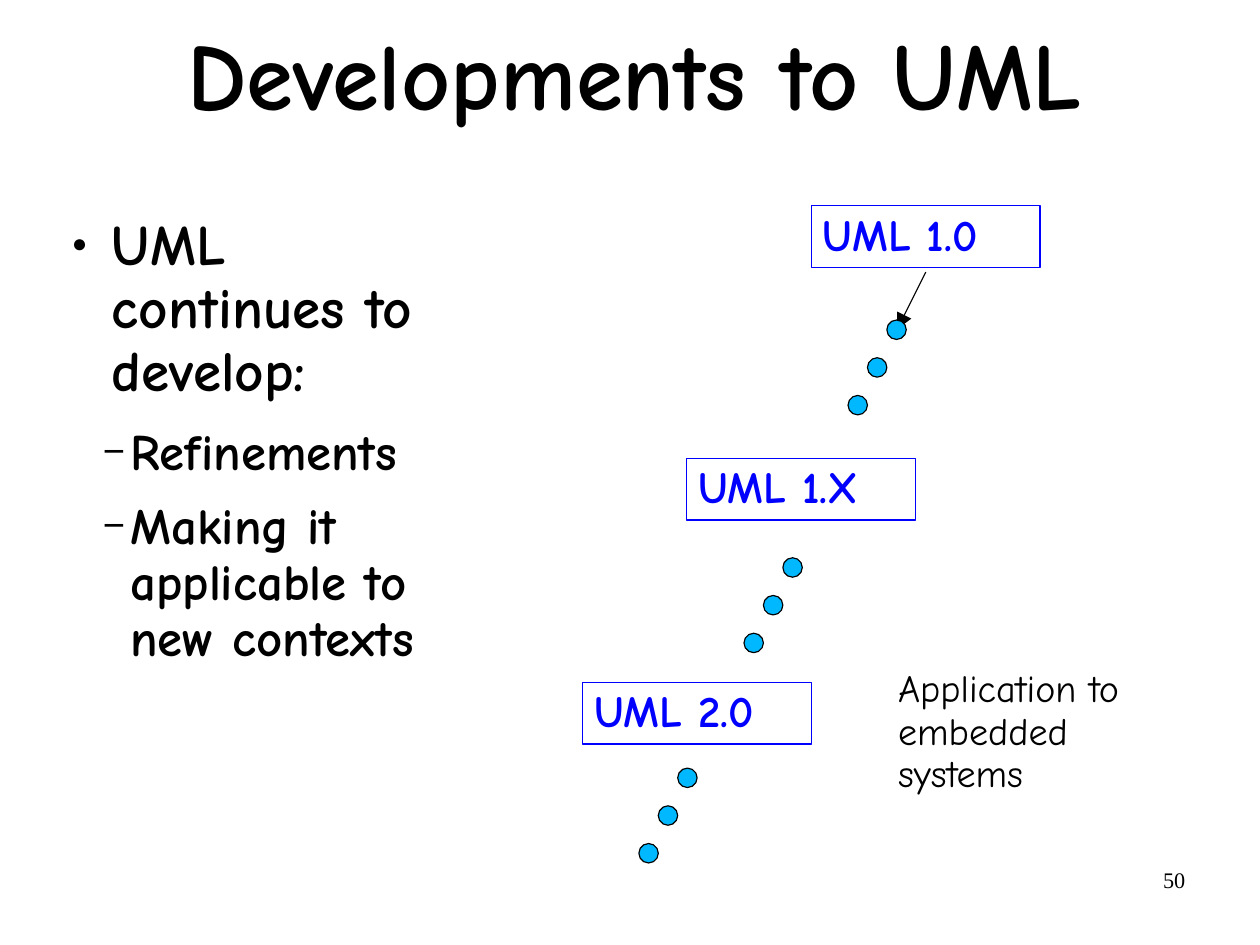
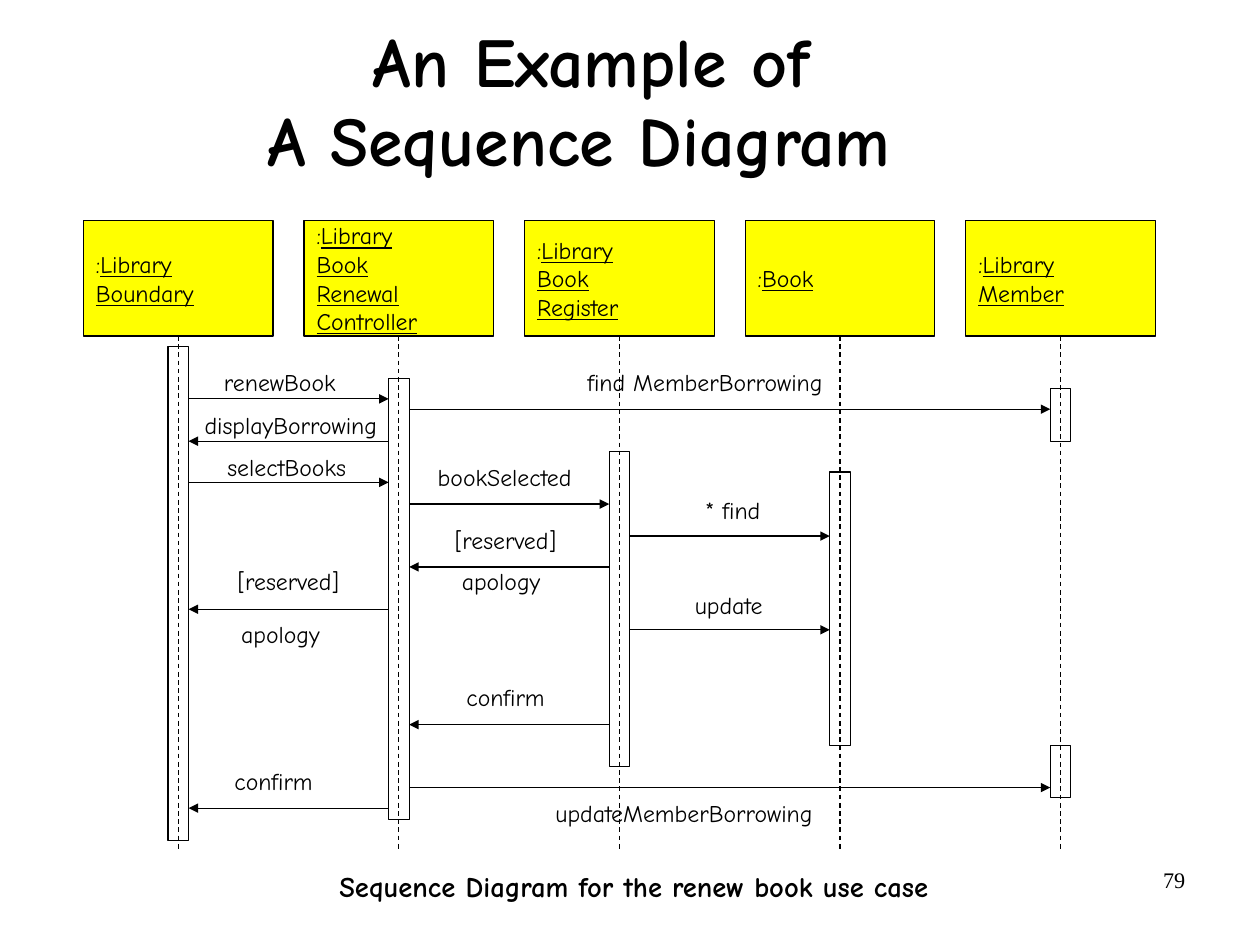
from lxml import etree
from pptx import Presentation
from pptx.dml.color import RGBColor
from pptx.enum.dml import MSO_LINE
from pptx.enum.shapes import MSO_CONNECTOR, MSO_SHAPE
from pptx.enum.text import MSO_ANCHOR, MSO_AUTO_SIZE, PP_ALIGN
from pptx.oxml.ns import qn
from pptx.util import Pt

RECT, OVAL = MSO_SHAPE.RECTANGLE, MSO_SHAPE.OVAL
STRAIGHT = MSO_CONNECTOR.STRAIGHT
TOP, MIDDLE = MSO_ANCHOR.TOP, MSO_ANCHOR.MIDDLE
LEFT, CENTER, RIGHT = PP_ALIGN.LEFT, PP_ALIGN.CENTER, PP_ALIGN.RIGHT
NO_FIT = MSO_AUTO_SIZE.NONE

PX = 9144
BLACK, BLUE, CYAN, YELLOW = "000000", "0000FF", "00B8FF", "FFFF00"
FONT = {"name": "Comic Neue", "bold": False}
STRONG = {**FONT, "bold": True}
TITLE = {"align": CENTER, "anchor": MIDDLE}
BOX_INSETS = (10, 5, 10, 5)

PAGE_NUMBER = {"box": (790, 753, 257, 57), "size": 14, "font": {"name": "Times New Roman"}}

DEVELOPMENTS = {
    "number": "50",
    "title": "Developments to UML",
    "title_box": (85, 0, 940, 138),
    "title_format": {"size": 60, "spacing": 0.92},
    "body_box": (51, 188, 362, 533),
    "points": [
        (0, "UML continues to develop:"),
        (1, "Refinements"),
        (1, "Making it applicable to new contexts"),
    ],
    "versions": [("UML 1.0", 710, 180), ("UML 1.X", 601, 401), ("UML 2.0", 510, 597)],
    "arrow": (810, 238, 785, 288),
    "dot_trails": [(776, 280), (685, 488), (593, 672)],
    "note": ("Application to embedded systems", (776, 580, 250, 122)),
}
LEVELS = [
    {"size": 36, "after": 13.8, "margin": 47, "hang": 35, "bullet": "●", "percent": 45},
    {"size": 32, "after": 10.9, "margin": 63, "hang": 24, "bullet": "−", "percent": 75},
]

SEQUENCE = {
    "number": "79",
    "title": "An Example of\nA Sequence Diagram ",
    "title_box": (49, 16, 937, 149),
    "title_format": {"size": 44, "spacing": 0.94, "insets": (2, 6, 2, 6)},
    "objects": [
        (["Library", "Boundary"], [(303, 432)]),
        (["Library", "Book", "Renewal", "Controller"], [(331, 386)]),
        (["Library", "Book", "Register"], [(395, 276)]),
        (["Book"], [(413, 239)]),
        (["Library", "Member"], [(340, 46), (652, 46)]),
    ],
    "messages": [
        (0, 1, 349, [("renewBook", 196, 322, 98)]),
        (1, 0, 386, [("displayBorrowing", 179, 359, 151)]),
        (0, 1, 422, [("selectBooks", 199, 396, 104)]),
        (1, 0, 533, [("[reserved]", 208, 496, 90), ("apology", 211, 542, 69)]),
        (1, 0, 707, [("confirm", 205, 671, 69)]),
        (1, 4, 358, [("find MemberBorrowing", 514, 322, 206)]),
        (1, 2, 441, [("bookSelected", 383, 405, 118)]),
        (2, 3, 469, [("* find", 617, 434, 48)]),
        (2, 1, 496, [("[reserved]", 398, 460, 90), ("apology", 404, 496, 69)]),
        (2, 3, 551, [("update", 608, 517, 60)]),
        (2, 1, 634, [("confirm", 408, 597, 69)]),
        (1, 4, 689, [("updateMemberBorrowing", 486, 699, 226)]),
    ],
    "caption": ("Sequence Diagram for the renew book use case", (297, 760, 517, 30)),
}
FIRST_AXIS, AXIS_STEP, LIFE_END = 156, 193, 744
HEAD_TOP, HEAD_W, HEAD_H, BAR_W = 193, 166, 101, 18

prs = Presentation()
prs.slide_width, prs.slide_height = Pt(793.75), Pt(595.25)


def color(value):
    return RGBColor.from_string(value)


def emu(lengths):
    return [n * PX for n in lengths]


def place(sp, box):
    sp.left, sp.top, sp.width, sp.height = emu(box)


def write(sp, paras, size, font=FONT, ink=BLACK, align=LEFT, anchor=TOP,
          insets=(0, 0, 0, 0), wrap=True, spacing=1.0):
    tf = sp.text_frame
    margins = dict(zip(("margin_left", "margin_top", "margin_right", "margin_bottom"), emu(insets)))
    frame = {"auto_size": NO_FIT, "word_wrap": wrap, "vertical_anchor": anchor, **margins}
    for name, value in frame.items():
        setattr(tf, name, value)
    for i, text in enumerate(paras):
        p = tf.paragraphs[0] if i == 0 else tf.add_paragraph()
        p.text = text
        p.alignment, p.line_spacing, p.space_before = align, spacing, Pt(0)
        for r in p.runs:
            style(r, size, font, ink)
    return tf


def style(r, size, font=FONT, ink=BLACK):
    for name, value in {"size": Pt(size), **font}.items():
        setattr(r.font, name, value)
    r.font.color.rgb = color(ink)


def add_text(s, text, box, size, **fmt):
    return write(s.shapes.add_textbox(*emu(box)), [text], size, **fmt)


def add_shape(s, kind, box, fill=None, line=BLACK):
    sp = s.shapes.add_shape(kind, *emu(box))
    sp.shadow.inherit = False
    if fill:
        sp.fill.solid()
        sp.fill.fore_color.rgb = color(fill)
    else:
        sp.fill.background()
    sp.line.color.rgb, sp.line.width = color(line), Pt(0.75)
    return sp


def add_line(s, ends, head=None, dash=None):
    c = s.shapes.add_connector(STRAIGHT, *emu(ends))
    c.line.color.rgb, c.line.width = color(BLACK), Pt(0.75)
    if dash:
        c.line.dash_style = dash
    if head:
        ln = c._element.spPr.find(qn("a:ln"))
        etree.SubElement(ln, qn("a:tailEnd"), type="triangle", w=head, len=head)
    etree.SubElement(c._element.spPr, qn("a:effectLst"))
    return c


def add_slide(data, layout):
    s = prs.slides.add_slide(prs.slide_layouts[layout])
    place(s.shapes.title, data["title_box"])
    write(s.shapes.title, [data["title"]], font=STRONG, **TITLE, **data["title_format"])
    add_text(s, data["number"], PAGE_NUMBER["box"], PAGE_NUMBER["size"],
             font=PAGE_NUMBER["font"], align=RIGHT, insets=BOX_INSETS)
    return s


def add_bullet(p, level):
    fmt = LEVELS[level]
    p.level, p.space_after = level, Pt(fmt["after"])
    for r in p.runs:
        r.font.size = Pt(fmt["size"])
    pPr = p._p.get_or_add_pPr()
    pPr.set("marL", str(fmt["margin"] * PX))
    pPr.set("indent", str(-fmt["hang"] * PX))
    clr = etree.SubElement(pPr, qn("a:buClr"))
    etree.SubElement(clr, qn("a:srgbClr"), val=BLACK)
    etree.SubElement(pPr, qn("a:buSzPct"), val=str(fmt["percent"] * 1000))
    etree.SubElement(pPr, qn("a:buChar"), char=fmt["bullet"])


def build_developments(data):
    s = add_slide(data, 1)
    body = s.placeholders[1]
    place(body, data["body_box"])
    tf = write(body, [text for _, text in data["points"]], 36, font=STRONG, spacing=0.92)
    for p, (level, _) in zip(tf.paragraphs, data["points"]):
        add_bullet(p, level)
    for text, x, y in data["versions"]:
        sp = add_shape(s, RECT, (x, y, 200, 54), line=BLUE)
        write(sp, [text], 28, font=STRONG, ink=BLUE, insets=BOX_INSETS, spacing=0.93)
    add_line(s, data["arrow"], head="lg")
    for x, y in data["dot_trails"]:
        for k in range(3):
            add_shape(s, OVAL, (x - 17 * k, y + 100 * k // 3, 17, 17), fill=CYAN)
    text, box = data["note"]
    add_text(s, text, box, 24, insets=BOX_INSETS, spacing=0.93)


def build_sequence(data):
    s = add_slide(data, 5)
    axes = [FIRST_AXIS + AXIS_STEP * i for i in range(len(data["objects"]))]
    for x, (lines, bars) in zip(axes, data["objects"]):
        head = add_shape(s, RECT, (x - HEAD_W // 2, HEAD_TOP, HEAD_W, HEAD_H), fill=YELLOW)
        tf = write(head, [":"] + lines[1:], 15, anchor=MIDDLE, insets=(11, 6, 11, 6))
        name = tf.paragraphs[0].add_run()
        name.text = lines[0]
        style(name, 15)
        for r in [name] + [r for p in tf.paragraphs[1:] for r in p.runs]:
            r.font.underline = True
        for top, height in bars:
            add_shape(s, RECT, (x - BAR_W // 2, top, BAR_W, height))
        life = add_line(s, (x, HEAD_TOP + HEAD_H, x, LIFE_END), dash=MSO_LINE.DASH)
        life.begin_connect(head, 2)
    for src, dst, y, labels in data["messages"]:
        edge = BAR_W // 2 if src < dst else -BAR_W // 2
        add_line(s, (axes[src] + edge, y, axes[dst] - edge, y), head="med")
        for text, left, top, width in labels:
            add_text(s, text, (left, top, width, 25), 15, wrap=False)
    text, box = data["caption"]
    add_text(s, text, box, 18, font=STRONG, wrap=False)


build_developments(DEVELOPMENTS)
build_sequence(SEQUENCE)
prs.save("out.pptx")
